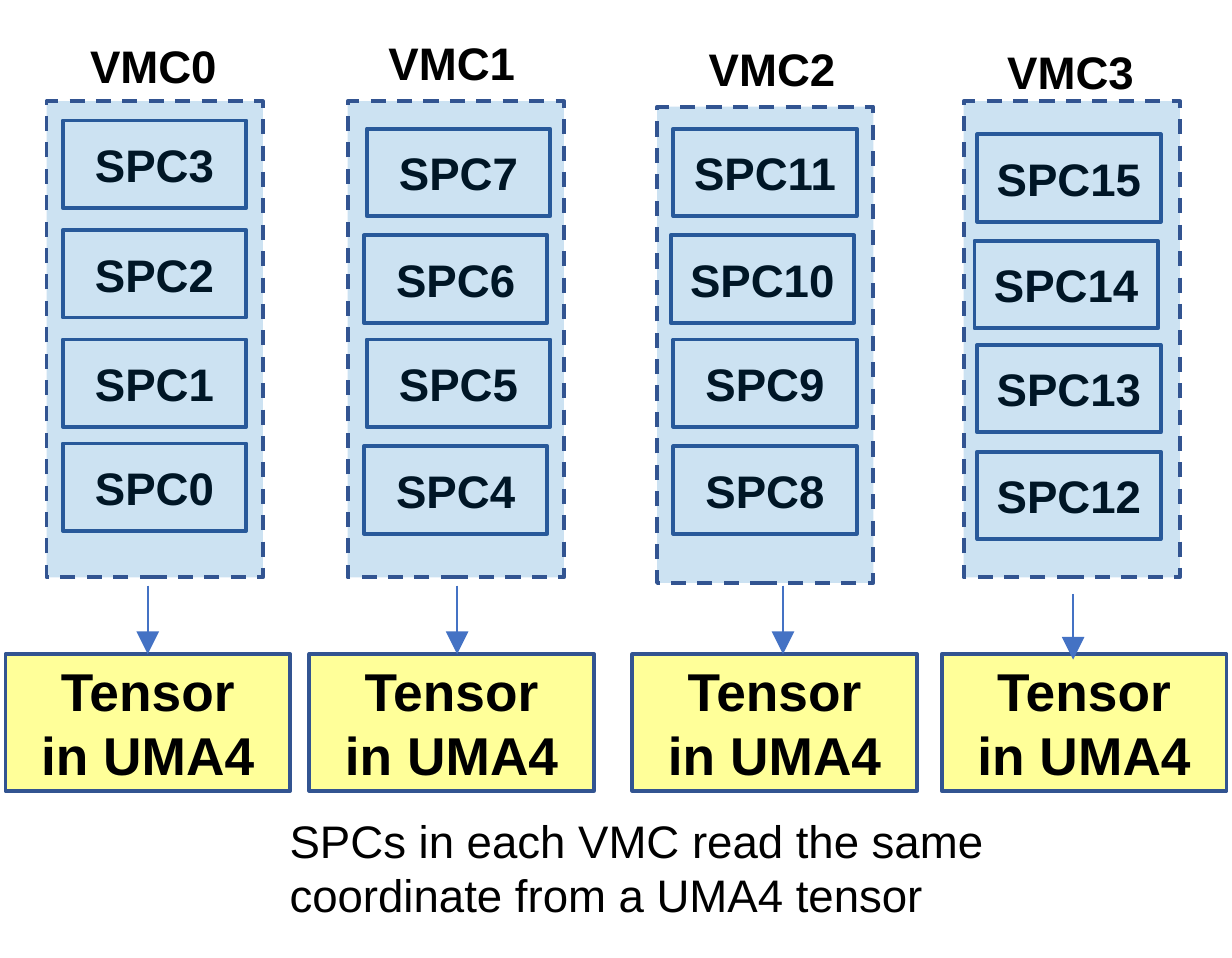
"""Builds a slide of four VMCs whose SPCs read from a shared UMA4 tensor."""
from dataclasses import dataclass

from lxml import etree
from pptx import Presentation
from pptx.dml.color import RGBColor
from pptx.enum.dml import MSO_LINE
from pptx.enum.shapes import MSO_CONNECTOR, MSO_SHAPE
from pptx.enum.text import MSO_ANCHOR, MSO_AUTO_SIZE, PP_ALIGN
from pptx.oxml.ns import qn
from pptx.util import Inches, Pt

RECTANGLE = MSO_SHAPE.RECTANGLE
STRAIGHT = MSO_CONNECTOR.STRAIGHT
DASH = MSO_LINE.DASH
MIDDLE = MSO_ANCHOR.MIDDLE
CENTER, LEFT = PP_ALIGN.CENTER, PP_ALIGN.LEFT
GROW = MSO_AUTO_SIZE.SHAPE_TO_FIT_TEXT

COLUMNS, ROWS = 450, 350
SPCS_PER_VMC = 4


@dataclass(frozen=True)
class Theme:
    """Colours, type sizes and line widths of the slide."""
    font: str = "Arial"
    ink: RGBColor = RGBColor(0x00, 0x00, 0x00)
    border: RGBColor = RGBColor(0x32, 0x54, 0x91)
    arrow: RGBColor = RGBColor(0x44, 0x72, 0xC4)
    spc: RGBColor = RGBColor(0xFF, 0xFF, 0xFF)
    tensor: RGBColor = RGBColor(0xFF, 0xFF, 0x99)
    vmc: RGBColor = RGBColor(0x00, 0x70, 0xC0)
    vmc_opacity: int = 20
    label_size: int = 12
    tensor_size: int = 14
    border_width: float = 1
    arrow_width: float = 0.5


@dataclass(frozen=True)
class Vmc:
    """Grid places of one VMC and its parts."""
    panel: tuple
    title: tuple
    spc_lefts: tuple
    spc_tops: tuple
    tensor_left: int
    arrow: tuple


VMCS = (
    Vmc((17, 37), (20, 9), (23, 23, 23, 23), (44, 84, 124, 162), 2, (54, 214, 239)),
    Vmc((127, 37), (129, 8), (134, 133, 134, 133), (47, 86, 124, 163), 113, (167, 214, 239)),
    Vmc((240, 39), (246, 10), (246, 245, 246, 246), (47, 86, 124, 163), 231, (286, 214, 239)),
    Vmc((352, 37), (355, 11), (357, 356, 357, 357), (49, 88, 126, 165), 344, (392, 217, 241)),
)


class Diagram:
    """Draws styled elements on a slide divided into a fine grid."""

    def __init__(self, deck, theme):
        self.theme = theme
        self.cell_width = deck.slide_width / COLUMNS
        self.cell_height = deck.slide_height / ROWS
        self.shapes = deck.slides.add_slide(deck.slide_layouts[6]).shapes

    def place(self, column, row):
        return round(column * self.cell_width), round(row * self.cell_height)

    def set_words(self, frame, words, size, bold=True, align=CENTER):
        frame.text = words
        paragraph = frame.paragraphs[0]
        paragraph.alignment = align
        font = paragraph.runs[0].font
        font.name, font.size, font.bold = self.theme.font, Pt(size), bold
        font.color.rgb = self.theme.ink

    def box(self, corner, extent, color):
        rectangle = self.shapes.add_shape(RECTANGLE, *self.place(*corner), *self.place(*extent))
        rectangle.shadow.inherit = False
        rectangle.fill.solid()
        rectangle.fill.fore_color.rgb = color
        rectangle.line.color.rgb = self.theme.border
        rectangle.line.width = Pt(self.theme.border_width)
        return rectangle

    def labelled_box(self, corner, extent, color, words, size, wrap):
        frame = self.box(corner, extent, color).text_frame
        frame.word_wrap = wrap
        frame.vertical_anchor = MIDDLE
        self.set_words(frame, words, size)

    def spc(self, corner, number):
        self.labelled_box(corner, (67, 32), self.theme.spc, f"SPC{number}",
                          self.theme.label_size, False)

    def tensor(self, left):
        self.labelled_box((left, 239), (104, 50), self.theme.tensor, "Tensor in UMA4",
                          self.theme.tensor_size, True)

    def panel(self, corner):
        outline = self.box(corner, (79, 174), self.theme.vmc)
        outline.line.dash_style = DASH
        tint = outline.element.spPr.find(qn("a:solidFill")).find(qn("a:srgbClr"))
        etree.SubElement(tint, qn("a:alpha"), val=str(self.theme.vmc_opacity * 1000))

    def text(self, corner, extent, words, bold, align):
        frame = self.shapes.add_textbox(*self.place(*corner), *self.place(*extent)).text_frame
        frame.word_wrap = True
        frame.auto_size = GROW
        self.set_words(frame, words, self.theme.label_size, bold, align)

    def arrow(self, column, top, bottom):
        link = self.shapes.add_connector(
            STRAIGHT, *self.place(column, top), *self.place(column, bottom))
        link.line.color.rgb = self.theme.arrow
        link.line.width = Pt(self.theme.arrow_width)
        properties = link.element.spPr
        etree.SubElement(properties.find(qn("a:ln")), qn("a:tailEnd"), type="triangle")
        etree.SubElement(properties, qn("a:effectLst"))


def main():
    deck = Presentation()
    deck.slide_width, deck.slide_height = Inches(4.5), Inches(3.5)
    diagram = Diagram(deck, Theme())
    for index, vmc in enumerate(VMCS):
        highest = (index + 1) * SPCS_PER_VMC - 1
        for step, corner in enumerate(zip(vmc.spc_lefts, vmc.spc_tops)):
            diagram.spc(corner, highest - step)
        diagram.tensor(vmc.tensor_left)
        diagram.text(vmc.title, (72, 30), f"VMC{index}", True, CENTER)
        diagram.arrow(*vmc.arrow)
        diagram.panel(vmc.panel)
    diagram.text((96, 292), (280, 50),
                 "SPCs in each VMC read the same coordinate from a UMA4 tensor", False, LEFT)
    deck.save("out.pptx")


if __name__ == "__main__":
    main()
